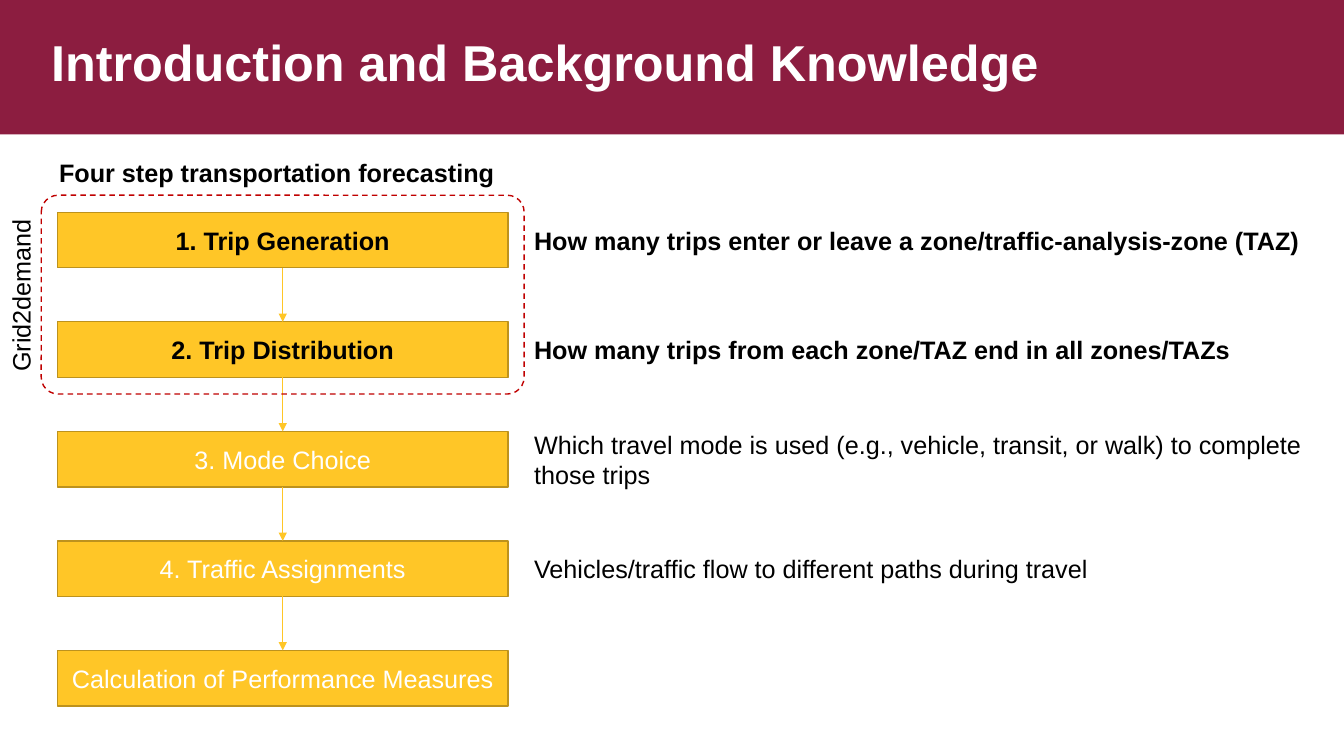
from dataclasses import dataclass

from lxml import etree
from pptx import Presentation
from pptx.dml.color import RGBColor
from pptx.enum.dml import MSO_LINE
from pptx.enum.shapes import MSO_CONNECTOR, MSO_SHAPE
from pptx.enum.text import MSO_ANCHOR, PP_ALIGN
from pptx.oxml.ns import qn
from pptx.util import Cm, Pt

RECTANGLE = MSO_SHAPE.RECTANGLE
ROUNDED = MSO_SHAPE.ROUNDED_RECTANGLE
STRAIGHT = MSO_CONNECTOR.STRAIGHT
DASH = MSO_LINE.DASH
MIDDLE = MSO_ANCHOR.MIDDLE
CENTER, LEFT = PP_ALIGN.CENTER, PP_ALIGN.LEFT
TOP_SIDE, BOTTOM_SIDE = 0, 2


@dataclass(frozen=True)
class Theme:
    font: str = "Arial"
    maroon: RGBColor = RGBColor(0x8C, 0x1D, 0x40)
    gold: RGBColor = RGBColor(0xFF, 0xC6, 0x27)
    dark_gold: RGBColor = RGBColor(0xBD, 0x92, 0x1D)
    red: RGBColor = RGBColor(0xC0, 0x00, 0x00)
    black: RGBColor = RGBColor(0, 0, 0)
    white: RGBColor = RGBColor(0xFF, 0xFF, 0xFF)
    title_size: int = 36
    body_size: int = 18


class SlideBuilder:
    """Draws styled elements on one slide; positions and sizes are in centimetres."""

    def __init__(self, slide, theme):
        self.shapes = slide.shapes
        self.theme = theme

    def set_text(self, shape, text, size, color, bold, align):
        frame = shape.text_frame
        frame.word_wrap = True
        frame.vertical_anchor = MIDDLE
        paragraph = frame.paragraphs[0]
        paragraph.text = text
        paragraph.alignment = align
        font = paragraph.font
        font.name, font.size, font.bold = self.theme.font, Pt(size), bold
        font.color.rgb = color
        return paragraph

    def outline(self, kind, left, top, width, height, fill=None, line=None):
        shape = self.shapes.add_shape(kind, Cm(left), Cm(top), Cm(width), Cm(height))
        shape.shadow.inherit = False
        if fill is None:
            shape.fill.background()
        else:
            shape.fill.solid()
            shape.fill.fore_color.rgb = fill
        if line is None:
            shape.line.fill.background()
        else:
            shape.line.color.rgb = line
            shape.line.width = Pt(1)
        return shape

    def title(self, text, left, top, width, height):
        box = self.shapes.add_textbox(Cm(left), Cm(top), Cm(width), Cm(height))
        heading = self.set_text(box, text, self.theme.title_size, self.theme.white, True, LEFT)
        heading.line_spacing = 0.9

    def label(self, text, left, top, width, height=1.02, bold=False, rotation=0):
        box = self.shapes.add_textbox(Cm(left), Cm(top), Cm(width), Cm(height))
        box.rotation = rotation
        self.set_text(box, text, self.theme.body_size, self.theme.black, bold, LEFT)

    def step(self, text, left, top, width, height, in_scope):
        theme = self.theme
        box = self.outline(RECTANGLE, left, top, width, height, theme.gold, theme.dark_gold)
        color = theme.black if in_scope else theme.white
        self.set_text(box, text, theme.body_size, color, in_scope, CENTER)
        return box

    def scope_frame(self, left, top, width, height):
        frame = self.outline(ROUNDED, left, top, width, height, line=self.theme.red)
        frame.adjustments[0] = 0.085
        frame.line.dash_style = DASH

    def arrow(self, upper, lower):
        """Join the bottom of one step to the top of the next."""
        arrow = self.shapes.add_connector(STRAIGHT, 0, 0, 0, 0)
        arrow.begin_connect(upper, BOTTOM_SIDE)
        arrow.end_connect(lower, TOP_SIDE)
        arrow.line.color.rgb = self.theme.gold
        arrow.line.width = Pt(0.5)
        properties = arrow._element.spPr
        etree.SubElement(properties.find(qn("a:ln")), qn("a:tailEnd"), type="triangle")
        etree.SubElement(properties, qn("a:effectLst"))


# step, explanation, lines of explanation, covered by Grid2demand
STEPS = [
    ("1. Trip Generation",
     "How many trips enter or leave a zone/traffic-analysis-zone (TAZ)", 1, True),
    ("2. Trip Distribution",
     "How many trips from each zone/TAZ end in all zones/TAZs", 1, True),
    ("3. Mode Choice",
     "Which travel mode is used (e.g., vehicle, transit, or walk) to complete those trips",
     2, False),
    ("4. Traffic Assignments",
     "Vehicles/traffic flow to different paths during travel", 1, False),
    ("Calculation of Performance Measures", None, 0, False),
]
STEP_LEFT, STEP_TOP, STEP_WIDTH, STEP_HEIGHT = 1.45, 5.35, 11.35, 1.4
STEP_PITCH = 2.76
NOTE_LEFT, NOTE_WIDTH = 13.21, 19.95
NOTE_PADDING, LINE_HEIGHT = 0.24, 0.78


def main():
    presentation = Presentation()
    presentation.slide_width, presentation.slide_height = Cm(33.87), Cm(19.05)
    slide = presentation.slides.add_slide(presentation.slide_layouts[6])
    theme = Theme()
    builder = SlideBuilder(slide, theme)

    builder.outline(RECTANGLE, 0, 0, 33.87, 3.39, theme.maroon)
    builder.title("Introduction and Background Knowledge", 1.04, 0.3, 30.5, 2.7)
    builder.label("Four step transportation forecasting", 1.24, 3.84, 11.76, bold=True)

    boxes = []
    for index, (name, note, lines, in_scope) in enumerate(STEPS):
        top = STEP_TOP + index * STEP_PITCH
        boxes.append(builder.step(name, STEP_LEFT, top, STEP_WIDTH, STEP_HEIGHT, in_scope))
        if note:
            height = NOTE_PADDING + lines * LINE_HEIGHT
            note_top = top + (STEP_HEIGHT - height) / 2
            builder.label(note, NOTE_LEFT, note_top, NOTE_WIDTH, height, bold=in_scope)
    for upper, lower in zip(boxes, boxes[1:]):
        builder.arrow(upper, lower)

    builder.scope_frame(1.04, 4.92, 12.17, 5.01)
    builder.label("Grid2demand", -1.68, 6.91, 4.4, rotation=270)
    presentation.save("out.pptx")


if __name__ == "__main__":
    main()
